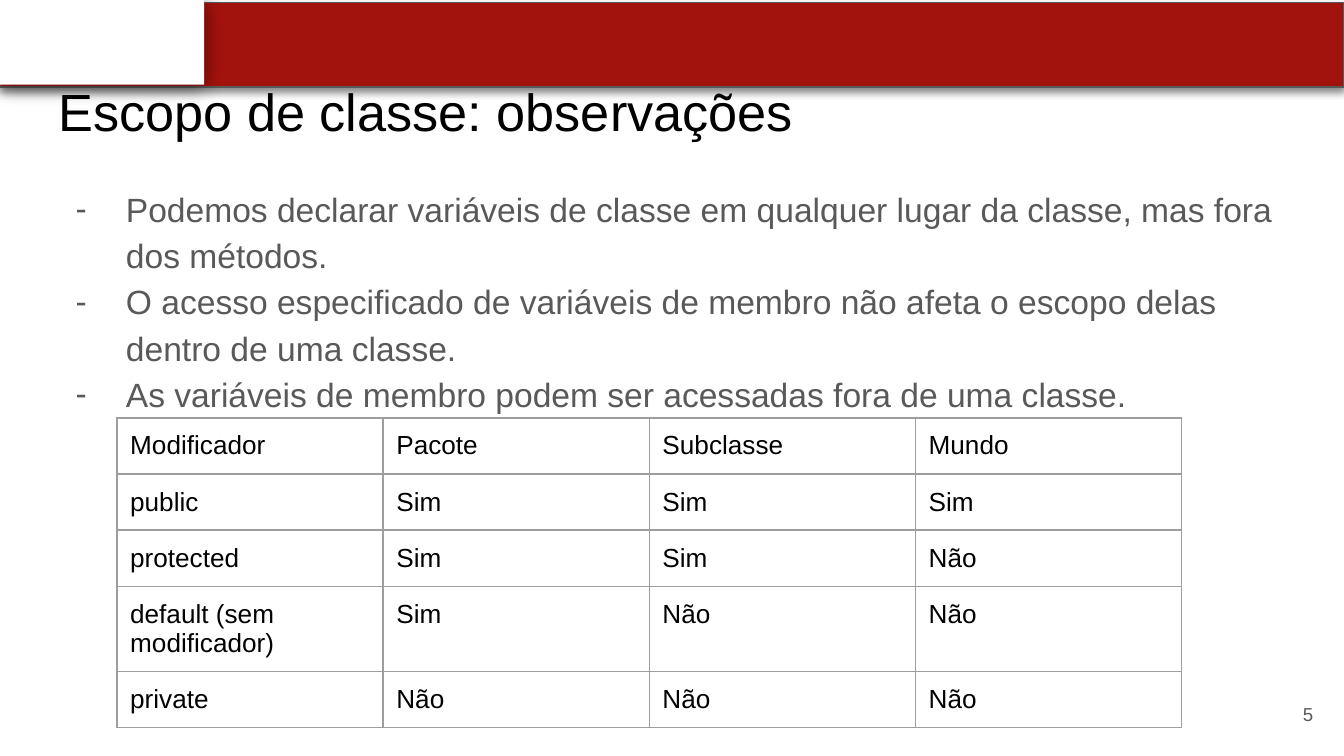
from lxml import etree
from pptx import Presentation
from pptx import util as u
from pptx.dml.color import RGBColor
from pptx.enum import shapes, text
from pptx.oxml.ns import qn

RED = RGBColor(0xA3, 0x13, 0x0D)
WHITE = RGBColor(0xFF, 0xFF, 0xFF)
BLACK = RGBColor(0x00, 0x00, 0x00)
GREY = RGBColor(0x59, 0x59, 0x59)
BORDER = RGBColor(0x9E, 0x9E, 0x9E)
FONT = "Arial"
INSET = u.Cm(0.25)

TITLE = "Escopo de classe: observações"
REMARKS = [
    "Podemos declarar variáveis de classe em qualquer lugar da classe, mas fora dos métodos.",
    "O acesso especificado de variáveis de membro não afeta o escopo delas dentro de uma classe.",
    "As variáveis de membro podem ser acessadas fora de uma classe.",
]
ACCESS = [
    ["Modificador", "Pacote", "Subclasse", "Mundo"],
    ["public", "Sim", "Sim", "Sim"],
    ["protected", "Sim", "Sim", "Não"],
    ["default (sem modificador)", "Sim", "Não", "Não"],
    ["private", "Não", "Não", "Não"],
]


def add_color(parent, color):
    """Append a colour element and return it."""
    return etree.SubElement(parent, qn("a:srgbClr"), val=str(color))


def format_frame(frame, size, color, anchor=text.MSO_ANCHOR.TOP,
                 align=text.PP_ALIGN.LEFT):
    """Give a text frame its insets, anchor, alignment and font."""
    frame.word_wrap = True
    frame.auto_size = text.MSO_AUTO_SIZE.NONE
    frame.vertical_anchor = anchor
    frame.margin_left = frame.margin_right = INSET
    frame.margin_top = frame.margin_bottom = INSET
    for para in frame.paragraphs:
        format_para(para, size, color, align)


def format_para(para, size, color, align=text.PP_ALIGN.LEFT):
    para.alignment = align
    para.space_before = para.space_after = u.Pt(0)
    for span in para.runs:
        span.font.name = FONT
        span.font.size = u.Pt(size)
        span.font.color.rgb = color


def place(box, left, top, width, height):
    box.left, box.top = u.Cm(left), u.Cm(top)
    box.width, box.height = u.Cm(width), u.Cm(height)


def add_band(slide, level, left, top, width, height, fill, blur, line=None):
    """Add a shadowed header rectangle behind the text."""
    band = slide.shapes.add_shape(
        shapes.MSO_SHAPE.RECTANGLE,
        u.Cm(left), u.Cm(top), u.Cm(width), u.Cm(height))
    band.fill.solid()
    band.fill.fore_color.rgb = fill
    if line is None:
        band.line.fill.background()
    else:
        band.line.color.rgb = line
        band.line.width = u.Pt(0.75)
    band.shadow.inherit = False
    effects = band.element.spPr.find(qn("a:effectLst"))
    shadow = etree.SubElement(
        effects, qn("a:outerShdw"), blurRad=str(u.Pt(blur)),
        dist=str(u.Pt(1.5)), dir="5400000", algn="bl", rotWithShape="0")
    etree.SubElement(add_color(shadow, BLACK), qn("a:alpha"), val="47000")
    # The first two children of the tree are its properties
    band.element.getparent().insert(2 + level, band.element)


def fill_title(title):
    place(title, 0.86, 1.24, 23.67, 1.6)
    title.text_frame.text = TITLE
    format_frame(title.text_frame, 28, BLACK)


def fill_remarks(body):
    """Write the dashed list."""
    place(body, 0.86, 3.2, 23.67, 9.5)
    frame = body.text_frame
    frame.text = "\n".join(REMARKS)
    format_frame(frame, 18, GREY)
    for para in frame.paragraphs:
        para.line_spacing = 1.15
        props = para._p.get_or_add_pPr()
        props.set("marL", str(u.Cm(1.27)))
        props.set("indent", str(u.Cm(-0.95)))
        add_color(etree.SubElement(props, qn("a:buClr")), GREY)
        etree.SubElement(props, qn("a:buFont"), typeface=FONT)
        etree.SubElement(props, qn("a:buChar"), char="-")


def add_borders(cell):
    props = cell._tc.get_or_add_tcPr()
    for index, side in enumerate(("lnL", "lnR", "lnT", "lnB")):
        line = etree.Element(qn(f"a:{side}"), w=str(u.Pt(0.75)))
        add_color(etree.SubElement(line, qn("a:solidFill")), BORDER)
        props.insert(index, line)


def add_access_table(slide):
    """Add the table of access by modifier."""
    column_width, row_height = u.Cm(5.03), u.Cm(1.06)
    rows, columns = len(ACCESS), len(ACCESS[0])
    table = slide.shapes.add_table(
        rows, columns, u.Cm(2.21), u.Cm(7.9),
        column_width * columns, row_height * rows).table
    table.first_row = table.horz_banding = False
    for row, values in enumerate(ACCESS):
        table.rows[row].height = row_height
        for column, value in enumerate(values):
            cell = table.cell(row, column)
            cell.text = value
            cell.fill.background()
            cell.margin_left = cell.margin_right = INSET
            cell.margin_top = cell.margin_bottom = INSET
            format_para(cell.text_frame.paragraphs[0], 14, BLACK)
            add_borders(cell)


def add_page_number(slide, number):
    box = slide.shapes.add_textbox(
        u.Cm(23.55), u.Cm(12.95), u.Cm(1.52), u.Cm(1.09))
    box.text_frame.text = str(number)
    format_frame(box.text_frame, 10, GREY, text.MSO_ANCHOR.MIDDLE,
                 text.PP_ALIGN.RIGHT)


def main():
    deck = Presentation()
    deck.slide_width, deck.slide_height = u.Cm(25.4), u.Cm(14.29)
    slide = deck.slides.add_slide(deck.slide_layouts[1])

    # Header
    add_band(slide, 0, 0, 0.05, 25.4, 1.6, RED, 4.5, GREY)
    add_band(slide, 1, 0, 0, 3.86, 1.6, WHITE, 11.2)

    # Content
    fill_title(slide.shapes.title)
    fill_remarks(slide.placeholders[1])
    add_page_number(slide, 5)
    add_access_table(slide)

    deck.save("out.pptx")


if __name__ == "__main__":
    main()
